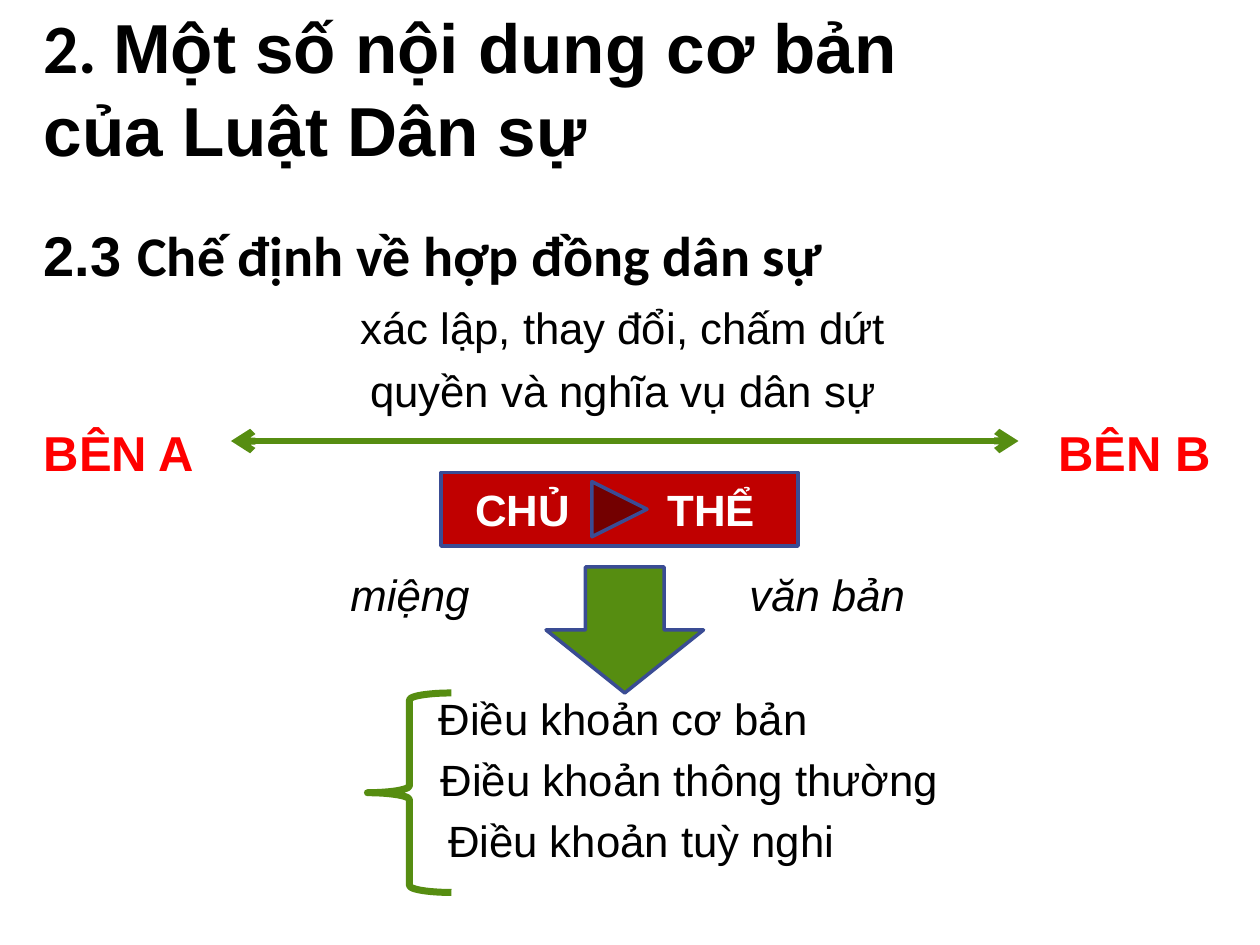
from dataclasses import dataclass

from lxml import etree
from pptx import Presentation
from pptx.dml.color import RGBColor
from pptx.enum.shapes import MSO_CONNECTOR, MSO_SHAPE
from pptx.enum.text import MSO_ANCHOR, PP_ALIGN
from pptx.oxml.ns import qn
from pptx.util import Inches, Pt

STRAIGHT = MSO_CONNECTOR.STRAIGHT
BUTTON = MSO_SHAPE.ACTION_BUTTON_FORWARD_OR_NEXT
DOWN_ARROW = MSO_SHAPE.DOWN_ARROW
LEFT_BRACE = MSO_SHAPE.LEFT_BRACE
TOP, MIDDLE = MSO_ANCHOR.TOP, MSO_ANCHOR.MIDDLE
LEFT, CENTER = PP_ALIGN.LEFT, PP_ALIGN.CENTER


@dataclass(frozen=True)
class Theme:
    sans: str = "Arial"
    humanist: str = "Calibri"
    black: str = "000000"
    white: str = "FFFFFF"
    party: str = "FF0000"
    subject: str = "C00000"
    green: str = "568D11"
    outline: str = "3A4C94"
    title: float = 39.6
    heading: float = 32
    label: float = 28
    body: float = 25
    gap: float = 6
    thick: float = 4
    thin: float = 2


class SlideBuilder:
    COLUMNS, ROWS = 120, 90

    def __init__(self, deck, theme):
        self.deck = deck
        self.theme = theme
        self.slide = deck.slides.add_slide(deck.slide_layouts[6])

    def x(self, columns):
        return round(self.deck.slide_width * columns / self.COLUMNS)

    def y(self, rows):
        return round(self.deck.slide_height * rows / self.ROWS)

    def area(self, left, top, width, height):
        return self.x(left), self.y(top), self.x(width), self.y(height)

    def span(self, para, words, size, font=None, color=None, bold=False, italic=False):
        run = para.add_run()
        run.text = words
        run.font.name = font or self.theme.sans
        run.font.size = Pt(size)
        run.font.bold = bold
        run.font.italic = italic
        run.font.color.rgb = RGBColor.from_string(color or self.theme.black)

    def text(self, area, lines, size, anchor=TOP, align=LEFT, **style):
        frame = self.slide.shapes.add_textbox(*self.area(*area)).text_frame
        frame.word_wrap = True
        frame.vertical_anchor = anchor
        frame.margin_left = frame.margin_right = Inches(0.1)
        frame.margin_top = frame.margin_bottom = 0
        for index, spans in enumerate(lines):
            para = frame.paragraphs[0] if index == 0 else frame.add_paragraph()
            para.alignment = align
            if index:
                para.space_before = Pt(self.theme.gap)
            for words, font in spans:
                self.span(para, words, size, font, **style)

    def label(self, left, top, words, size, width=45, **style):
        self.text((left, top, width, 6), [[(words, self.theme.sans)]], size, **style)

    def shape(self, kind, area, line, weight, fill=None):
        shape = self.slide.shapes.add_shape(kind, *self.area(*area))
        shape.shadow.inherit = False
        if fill:
            shape.fill.solid()
            shape.fill.fore_color.rgb = RGBColor.from_string(fill)
        else:
            shape.fill.background()
        shape.line.color.rgb = RGBColor.from_string(line)
        shape.line.width = Pt(weight)
        return shape

    def split_button(self, area, first, second, inset, stop):
        theme = self.theme
        button = self.shape(BUTTON, area, theme.outline, theme.thin, theme.subject)
        frame = button.text_frame
        frame.margin_left = Inches(inset)
        frame.vertical_anchor = MIDDLE
        para = frame.paragraphs[0]
        para.alignment = LEFT
        tabs = etree.SubElement(para._p.get_or_add_pPr(), qn("a:tabLst"))
        etree.SubElement(tabs, qn("a:tab"), pos=str(Inches(stop)), algn="l")
        self.span(para, f"{first}\t{second}", theme.body, color=theme.white, bold=True)

    def double_arrow(self, start, end, row):
        arrow = self.slide.shapes.add_connector(
            STRAIGHT, self.x(start), self.y(row), self.x(end), self.y(row))
        arrow.line.color.rgb = RGBColor.from_string(self.theme.green)
        arrow.line.width = Pt(self.theme.thick)
        line = arrow.line._get_or_add_ln()
        for tag in ("a:headEnd", "a:tailEnd"):
            etree.SubElement(line, qn(tag), type="arrow")
        etree.SubElement(arrow._element.spPr, qn("a:effectLst"))


def main():
    theme = Theme()
    deck = Presentation()
    deck.slide_width, deck.slide_height = Inches(10), Inches(7.5)
    page = SlideBuilder(deck, theme)

    page.text((3, 0.8, 92, 15),
              [[("2. ", theme.humanist),
                ("Một số nội dung cơ bản của Luật Dân sự", theme.sans)]],
              theme.title, anchor=MIDDLE, bold=True)
    page.text((3, 21, 114, 7),
              [[("2.3 ", theme.sans), ("Chế định về hợp đồng dân sự", theme.humanist)]],
              theme.heading, bold=True)
    page.text((24.3, 28.6, 70, 12),
              [[("xác lập, thay đổi, chấm dứt", theme.sans)],
               [("quyền và nghĩa vụ dân sự", theme.sans)]],
              theme.body, align=CENTER)

    for left, party in ((3, "BÊN A"), (99.6, "BÊN B")):
        page.label(left, 40.2, party, theme.label, width=20, color=theme.party, bold=True)
    page.double_arrow(22, 97, 42)

    page.split_button((42, 45, 34, 7), "CHỦ", "THỂ", 0.27, 1.53)
    for left, form in ((32.2, "miệng"), (70.2, "văn bản")):
        page.label(left, 54.1, form, theme.body, width=25, italic=True)
    page.shape(DOWN_ARROW, (52, 54, 15, 12), theme.outline, theme.thin, theme.green)

    page.shape(LEFT_BRACE, (35, 66, 8, 19), theme.green, theme.thick)
    terms = ((40.6, "Điều khoản cơ bản"),
             (40.8, "Điều khoản thông thường"),
             (41.5, "Điều khoản tuỳ nghi"))
    for index, (left, term) in enumerate(terms):
        page.label(left, 65.9 + 5.8 * index, term, theme.body, width=55)

    deck.save("out.pptx")


if __name__ == "__main__":
    main()
